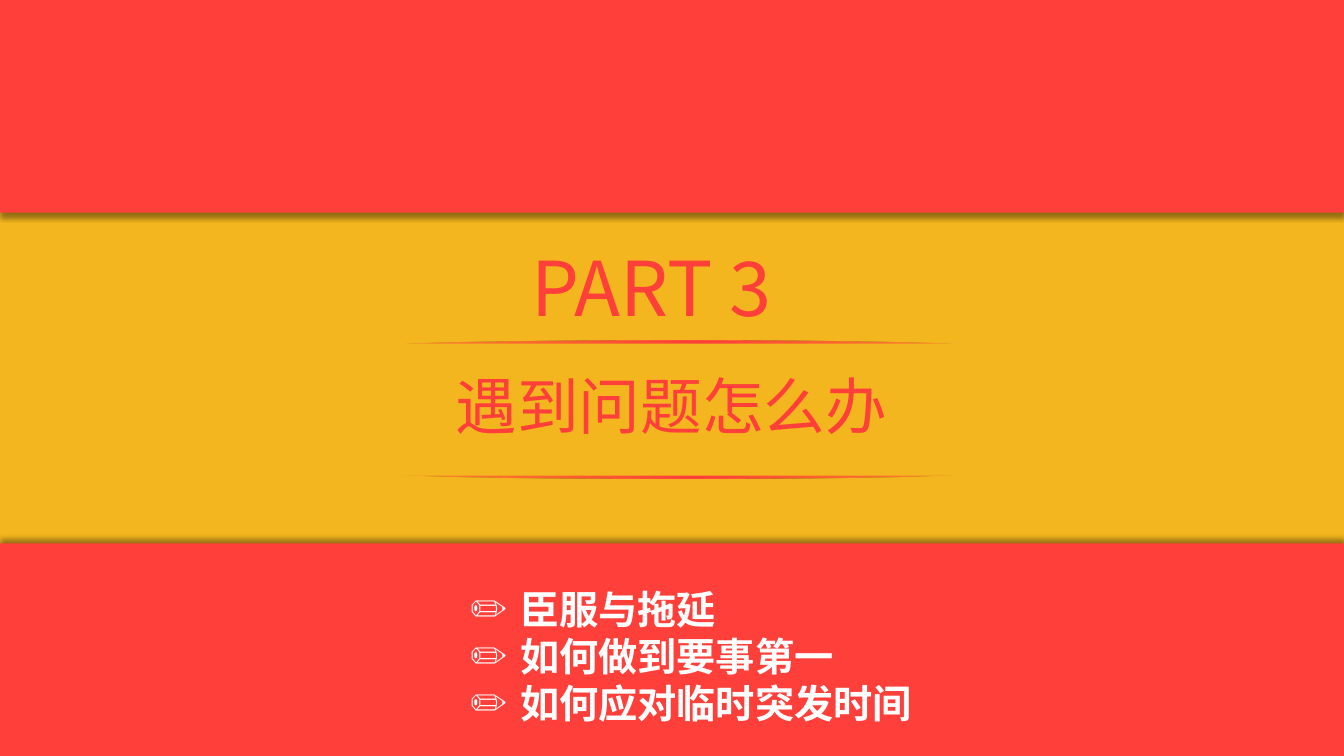
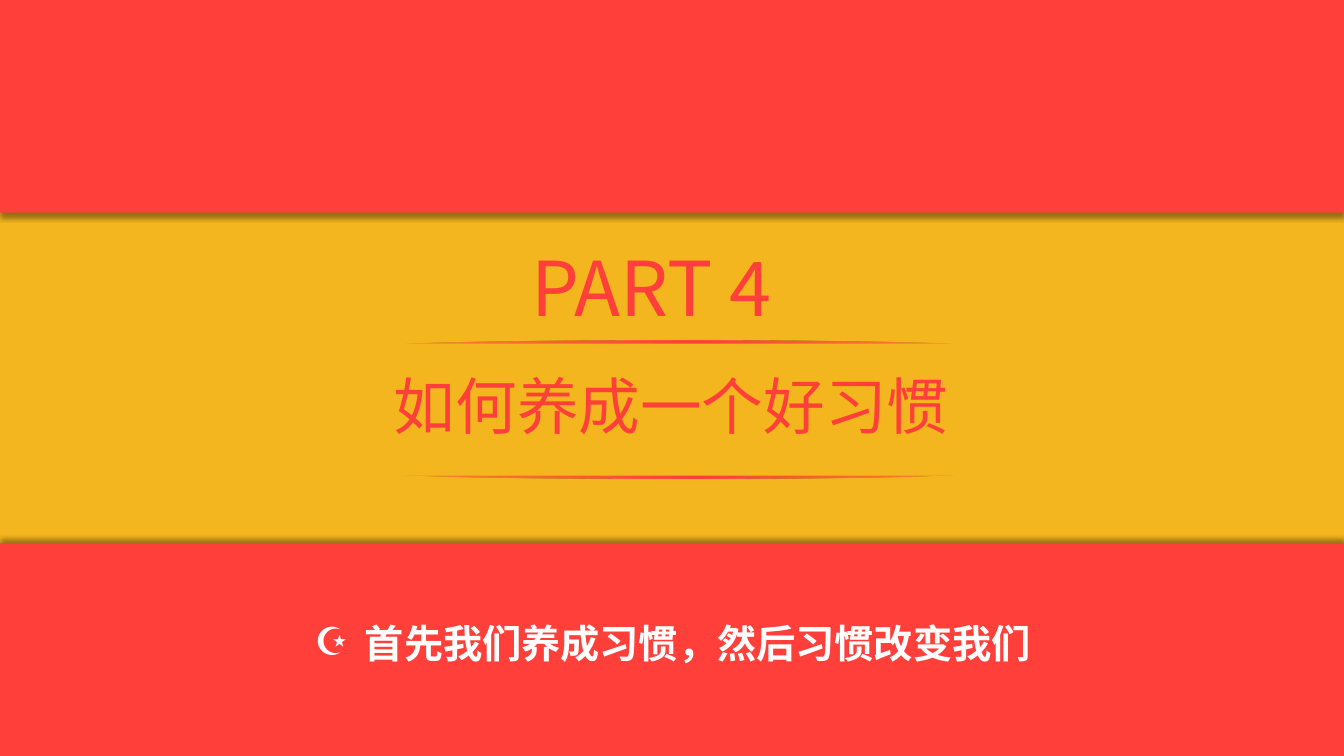
from dataclasses import dataclass

import lxml.etree
import pptx
import pptx.dml.color
import pptx.enum.shapes
import pptx.enum.text
import pptx.oxml.ns
import pptx.presentation
import pptx.shapes.autoshape
import pptx.slide
import pptx.text.text
import pptx.util

Inches = pptx.util.Inches
Pt = pptx.util.Pt
RGBColor = pptx.dml.color.RGBColor
Align = pptx.enum.text.PP_ALIGN
Anchor = pptx.enum.text.MSO_ANCHOR
AutoSize = pptx.enum.text.MSO_AUTO_SIZE
ShapeType = pptx.enum.shapes.MSO_SHAPE
qn = pptx.oxml.ns.qn

RED = RGBColor(0xFF, 0x3F, 0x3A)
YELLOW = RGBColor(0xF4, 0xB6, 0x1E)
WHITE = RGBColor(0xFF, 0xFF, 0xFF)
BLACK = RGBColor(0, 0, 0)
FONT = "Noto Sans CJK SC"

SLIDE_WIDTH = 13.33
SLIDE_HEIGHT = 7.5
BAND_HEIGHT = 2.11
TITLE_AND_CONTENT = 1


@dataclass(frozen=True)
class Box:
    left: float
    top: float
    width: float
    height: float

    def lengths(self) -> tuple[int, int, int, int]:
        return (Inches(self.left), Inches(self.top),
                Inches(self.width), Inches(self.height))


@dataclass(frozen=True)
class Band:
    top: float
    shadow_angle: int


@dataclass(frozen=True)
class Section:
    label: str
    title: str
    bullet: str
    points: list[str]
    points_box: Box
    points_alignment: Align


BANDS = [Band(0, 90), Band(SLIDE_HEIGHT - BAND_HEIGHT, 270)]
RULES = [Box(3.83, top, 5.8, 0.11) for top in (4.64, 3.38)]
TITLE_BOX = Box(3.66, 3.41, 6, 1.31)
LABEL_BOX = Box(5.17, 2.34, 3, 1.01)

SECTIONS = [
    Section("PART 3", "遇到问题怎么办", "✏",
            ["臣服与拖延", "如何做到要事第一", "如何应对临时突发时间"],
            Box(4.56, 5.76, 4.65, 1.51), Align.LEFT),
    Section("PART 4", "如何养成一个好习惯", "☪",
            ["首先我们养成习惯，然后习惯改变我们"],
            Box(2.79, 6.09, 7.76, 0.57), Align.CENTER),
]


def place(shape: pptx.shapes.autoshape.Shape, box: Box) -> None:
    shape.left, shape.top, shape.width, shape.height = box.lengths()


def append_color(parent: lxml.etree._Element, color: RGBColor, opacity: int) -> None:
    """Add an RGB colour with an opacity in percent to an XML element."""
    element = lxml.etree.SubElement(parent, qn("a:srgbClr"), val=str(color))
    lxml.etree.SubElement(element, qn("a:alpha"), val=str(opacity * 1000))


def format_text(paragraph: pptx.text.text._Paragraph, size: int,
                color: RGBColor, bold: bool = False) -> None:
    for run in paragraph.runs:
        run.font.name = FONT
        run.font.size = Pt(size)
        run.font.bold = bold
        run.font.color.rgb = color
        lxml.etree.SubElement(run._r.get_or_add_rPr(), qn("a:ea"), typeface=FONT)


def add_plain_shape(slide: pptx.slide.Slide, kind: ShapeType,
                    box: Box) -> pptx.shapes.autoshape.Shape:
    shape = slide.shapes.add_shape(kind, *box.lengths())
    shape.shadow.inherit = False
    shape.line.fill.background()
    return shape


def add_band(slide: pptx.slide.Slide, band: Band) -> None:
    """Draw a full-width band whose shadow falls on the middle area."""
    shape = add_plain_shape(slide, ShapeType.RECTANGLE,
                            Box(0, band.top, SLIDE_WIDTH, BAND_HEIGHT))
    shape.fill.solid()
    shape.fill.fore_color.rgb = RED
    effects = shape.element.spPr.find(qn("a:effectLst"))
    shadow = lxml.etree.SubElement(
        effects, qn("a:outerShdw"), blurRad=str(Pt(4)), dist=str(Pt(3)),
        dir=str(band.shadow_angle * 60000), algn="ctr", rotWithShape="0")
    append_color(shadow, BLACK, 40)


def add_rule(slide: pptx.slide.Slide, box: Box) -> None:
    """Draw a thin ellipse that fades out at both ends."""
    shape = add_plain_shape(slide, ShapeType.OVAL, box)
    shape.fill.gradient()
    shape.fill.gradient_angle = 0
    stops = shape.element.spPr.find(qn("a:gradFill")).find(qn("a:gsLst"))
    for stop in list(stops):
        stops.remove(stop)
    for position, opacity in ((0, 35), (53, 100), (100, 35)):
        stop = lxml.etree.SubElement(stops, qn("a:gs"), pos=str(position * 1000))
        append_color(stop, RED, opacity)


def set_title(slide: pptx.slide.Slide, text: str) -> None:
    """Fill the title and raise it so that it covers half of each rule."""
    title = slide.shapes.title
    title.element.getparent().append(title.element)
    place(title, TITLE_BOX)
    title.fill.solid()
    title.fill.fore_color.rgb = YELLOW
    frame = title.text_frame
    frame.text = text
    frame.word_wrap = True
    frame.auto_size = AutoSize.NONE
    frame.vertical_anchor = Anchor.MIDDLE
    paragraph = frame.paragraphs[0]
    paragraph.alignment = Align.CENTER
    paragraph.line_spacing = 0.9
    format_text(paragraph, 44, RED)


def add_label(slide: pptx.slide.Slide, text: str) -> None:
    frame = slide.shapes.add_textbox(*LABEL_BOX.lengths()).text_frame
    frame.word_wrap = True
    frame.text = text
    format_text(frame.paragraphs[0], 54, RED)


def set_points(slide: pptx.slide.Slide, section: Section) -> None:
    body = slide.placeholders[1]
    body.element.getparent().append(body.element)
    place(body, section.points_box)
    frame = body.text_frame
    frame.text = "\n".join(section.points)
    frame.word_wrap = True
    frame.auto_size = AutoSize.NONE
    frame.vertical_anchor = Anchor.TOP
    indent = Inches(0.5)
    for paragraph in frame.paragraphs:
        paragraph.alignment = section.points_alignment
        paragraph.space_before = Pt(0)
        properties = paragraph._p.get_or_add_pPr()
        properties.set("marL", str(indent))
        properties.set("indent", str(-indent))
        lxml.etree.SubElement(properties, qn("a:buChar"), char=section.bullet)
        format_text(paragraph, 28, WHITE, bold=True)


def add_section(presentation: pptx.presentation.Presentation,
                section: Section) -> None:
    layout = presentation.slide_layouts[TITLE_AND_CONTENT]
    slide = presentation.slides.add_slide(layout)
    top_band, bottom_band = BANDS
    add_band(slide, top_band)
    for rule in RULES:
        add_rule(slide, rule)
    set_title(slide, section.title)
    add_label(slide, section.label)
    add_band(slide, bottom_band)
    set_points(slide, section)


def main() -> None:
    presentation = pptx.Presentation()
    presentation.slide_width = Inches(SLIDE_WIDTH)
    presentation.slide_height = Inches(SLIDE_HEIGHT)
    background = presentation.slide_master.background.fill
    background.solid()
    background.fore_color.rgb = YELLOW
    for section in SECTIONS:
        add_section(presentation, section)
    presentation.save("out.pptx")


if __name__ == "__main__":
    main()
